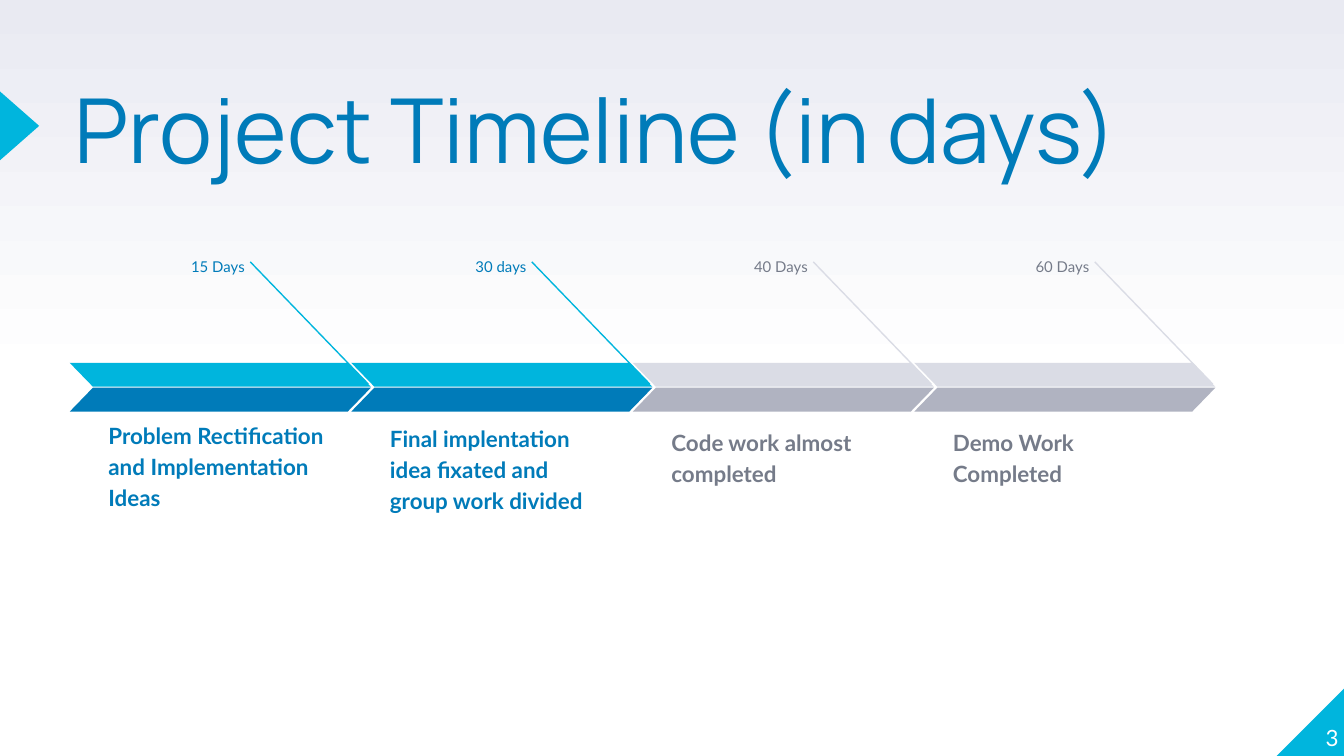
from collections import namedtuple
from copy import deepcopy

from lxml.etree import SubElement
from pptx import Presentation
from pptx.dml.color import RGBColor
from pptx.enum.shapes import MSO_CONNECTOR as Link, MSO_SHAPE as Preset
from pptx.enum.text import MSO_ANCHOR as Anchor, MSO_AUTO_SIZE as AutoSize, PP_ALIGN as Align
from pptx.oxml.ns import qn
from pptx.util import Cm, Pt

Box = namedtuple("Box", "left top width height")
Stage = namedtuple("Stage", "days task task_top done")

WHITE = RGBColor(0xFF, 0xFF, 0xFF)
LAVENDER = RGBColor(0xE9, 0xEA, 0xF2)
CYAN = RGBColor(0x00, 0xB5, 0xDD)
BLUE = RGBColor(0x00, 0x7B, 0xB9)
MIST = RGBColor(0xDA, 0xDC, 0xE5)
SILVER = RGBColor(0xB0, 0xB3, 0xC1)
SLATE = RGBColor(0x75, 0x7B, 0x89)

STAGES = [
    Stage("15 Days", "Problem Rectification and Implementation Ideas", 3.94, True),
    Stage("30 days", "Final implentation idea fixated and group work divided", 3.99, True),
    Stage("40 Days", "Code work almost completed", 3.48, False),
    Stage("60 Days", "Demo Work Completed", 3.48, False),
]
STAGE_PITCH = 5.32


def apply(target, values):
    for key, value in values.items():
        setattr(target, key, value)


def to_cm(box):
    return [Cm(length) for length in box]


def write(frame, text, color, font, paragraph=None, anchor=Anchor.TOP, inset=0):
    margins = dict.fromkeys(
        ("margin_left", "margin_top", "margin_right", "margin_bottom"), Cm(inset))
    apply(frame, {"word_wrap": True, "auto_size": AutoSize.NONE,
                  "vertical_anchor": anchor, **margins})
    line = frame.paragraphs[0]
    apply(line, paragraph or {})
    run = line.add_run()
    run.text = text
    apply(run.font, font)
    run.font.color.rgb = color


def add_solid(shapes, preset, box, color, flipped=False, rotation=0):
    solid = shapes.add_shape(preset, *to_cm(box))
    solid.shadow.inherit = False
    solid.fill.solid()
    solid.fill.fore_color.rgb = color
    solid.line.fill.background()
    solid.rotation = rotation
    if flipped:
        solid.element.spPr.find(qn("a:xfrm")).set("flipH", "1")
    return solid


def paint_background(slide):
    fill = slide.background.fill
    fill.gradient()
    fill.gradient_angle = 90
    first = slide.element.find(".//" + qn("a:gs"))
    first.addnext(deepcopy(first))
    for stop, position, color in zip(
            fill.gradient_stops, (0, 0.5, 1), (WHITE, WHITE, LAVENDER)):
        stop.position = position
        stop.color.rgb = color


def add_heading(slide, box):
    add_solid(slide.shapes, Preset.ISOSCELES_TRIANGLE,
              Box(box.left - 1.68, box.top + 0.23, 1.3, 0.74), CYAN, rotation=90)
    title = slide.shapes.title
    apply(title, dict(zip(Box._fields, to_cm(box))))
    write(title.text_frame, "Project Timeline (in days)", BLUE,
          {"name": "Manrope", "size": Pt(48)},
          {"alignment": Align.LEFT, "line_spacing": 0.8}, Anchor.MIDDLE)


def add_page_corner(slide, box):
    add_solid(slide.shapes, Preset.RIGHT_TRIANGLE, box, CYAN, flipped=True)
    number = slide.shapes.add_textbox(
        *to_cm(Box(box.left - 0.1, box.top - 0.1, 1.27, box.height)))
    write(number.text_frame, "3", WHITE, {"name": "Lato", "size": Pt(12)},
          {"alignment": Align.RIGHT}, Anchor.BOTTOM)


def add_stage(slide, box, stage):
    upper, lower, ink = (CYAN, BLUE, BLUE) if stage.done else (MIST, SILVER, SLATE)
    shapes = slide.shapes.add_group_shape().shapes

    days = shapes.add_textbox(*to_cm(Box(box.left + 1.63, box.top, 1.93, 0.74)))
    write(days.text_frame, stage.days, ink, {"name": "Lato", "size": Pt(8)},
          {"alignment": Align.RIGHT, "line_spacing": 1.15, "space_after": Pt(16)},
          inset=0.25)

    task = shapes.add_textbox(
        *to_cm(Box(box.left + 0.48, box.top + stage.task_top, 4.67, 1.4)))
    write(task.text_frame, stage.task, ink,
          {"name": "Lato", "size": Pt(12), "bold": True},
          {"line_spacing": 1.15}, Anchor.BOTTOM, 0.25)

    pointer = shapes.add_connector(
        Link.STRAIGHT, Cm(box.left + 3.41), Cm(box.top + 0.38),
        Cm(box.left + 5.64), Cm(box.top + 2.69))
    pointer.line.color.rgb = upper
    pointer.line.width = Pt(0.75)
    SubElement(pointer.element.spPr, qn("a:effectLst"))

    for offset, color, flipped in ((2.29, upper, True), (2.76, lower, False)):
        band = add_solid(shapes, Preset.PARALLELOGRAM,
                         Box(box.left, box.top + offset, box.width, 0.45),
                         color, flipped)
        band.adjustments[0] = 0.97


def add_timeline(slide, box):
    for index, stage in enumerate(STAGES):
        add_stage(slide, Box(box.left + index * STAGE_PITCH, box.top, 5.69, box.height),
                  stage)


def main():
    deck = Presentation()
    apply(deck, {"slide_width": Cm(25.4), "slide_height": Cm(14.29)})
    slide = deck.slides.add_slide(deck.slide_layouts[5])
    paint_background(slide)
    add_page_corner(slide, Box(24.13, 12.99, 1.3, 1.3))
    add_timeline(slide, Box(1.32, 4.57, 21.65, 5.39))
    add_heading(slide, Box(1.4, 1.78, 21.84, 1.63))
    deck.save("out.pptx")


if __name__ == "__main__":
    main()
